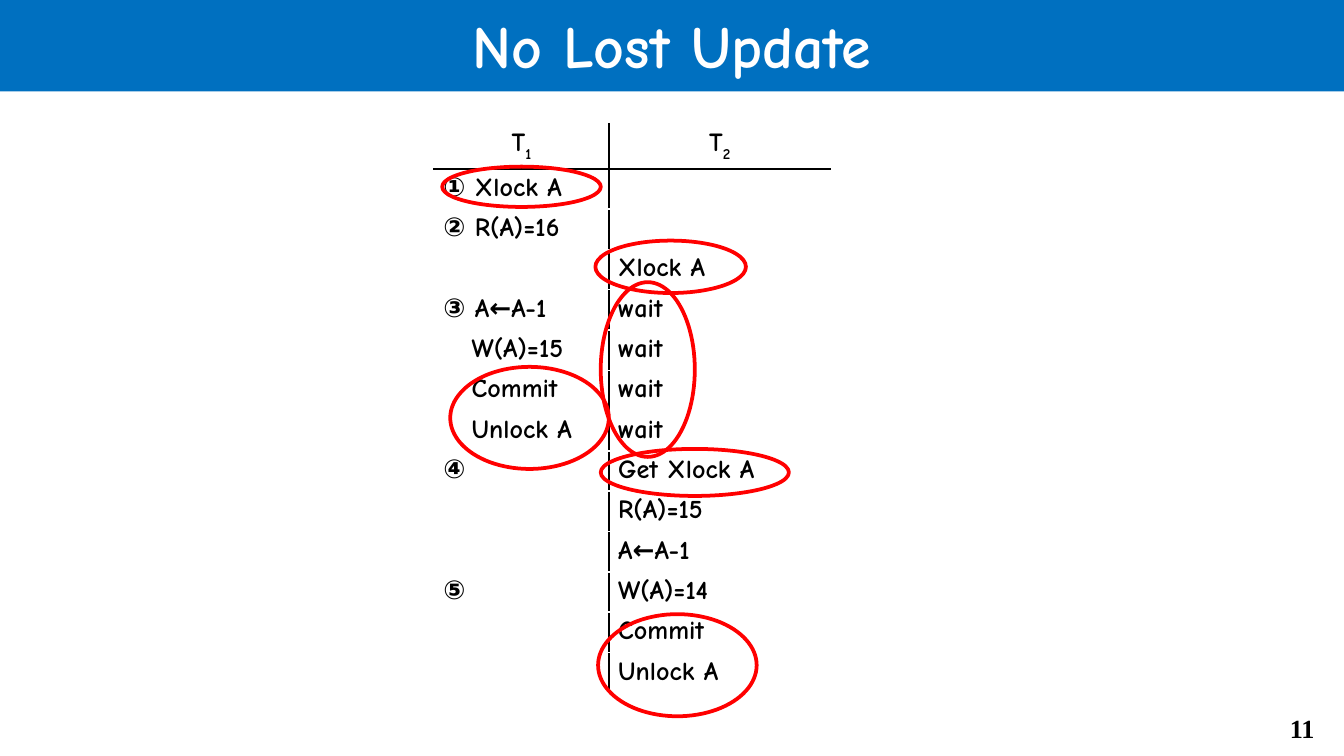
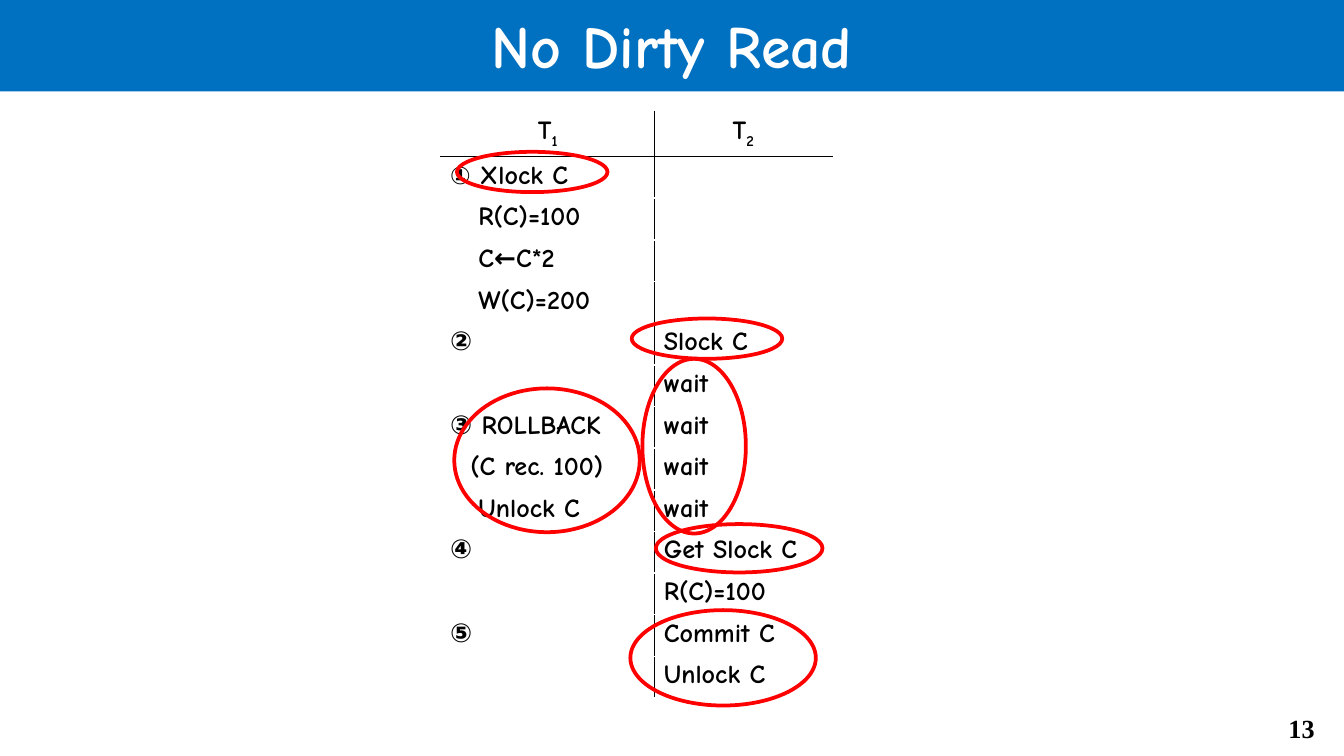
"""Build two slides showing how locking prevents lost updates and dirty reads."""
from lxml import etree
from pptx import Presentation
from pptx.dml.color import RGBColor
from pptx.enum.shapes import MSO_SHAPE
from pptx.enum.text import MSO_ANCHOR, PP_ALIGN
from pptx.oxml.ns import qn
from pptx.util import Inches, Pt

RECTANGLE, ELLIPSE = MSO_SHAPE.RECTANGLE, MSO_SHAPE.OVAL
CENTER, LEFT, RIGHT = PP_ALIGN.CENTER, PP_ALIGN.LEFT, PP_ALIGN.RIGHT
MIDDLE = MSO_ANCHOR.MIDDLE
BLUE, RED, BLACK, WHITE = "0070C0", "FF0000", "000000", "FFFFFF"
HAND, SERIF = "Comic Neue", "Times New Roman"
STEP_MARKS = "①②③④⑤"
HEADER = [[("T", 14, 0), (number, 14, -30000)] for number in "12"]

SCHEDULES = [
    {
        "title": "No Lost Update", "page": "11",
        "corner": (3.23, 0.92), "columns": (1.3, 1.65), "row_height": 0.3,
        "steps": [
            ("① Xlock A", ""), ("② R(A)=16", ""), ("", "Xlock A"),
            ("③ A←A-1", "wait"), ("W(A)=15", "wait"), ("Commit", "wait"),
            ("Unlock A", "wait"), ("④", "Get Xlock A"), ("", "R(A)=15"),
            ("", "A←A-1"), ("⑤", "W(A)=14"), ("", "Commit"), ("", "Unlock A"),
        ],
        "highlights": [
            (3.29, 1.24, 1.18, 0.3), (4.43, 1.79, 1.12, 0.39), (4.47, 2.1, 0.7, 1.3),
            (3.35, 2.73, 1.18, 0.76), (4.47, 3.34, 1.4, 0.35), (4.45, 4.57, 1.18, 0.76),
        ],
    },
    {
        "title": "No Dirty Read", "page": "13",
        "corner": (3.28, 0.83), "columns": (1.59, 1.32), "row_height": 0.31,
        "steps": [
            ([("①", 13, 0), (" Xlock C", 14, 0)], ""), ("R(C)=100", ""), ("C←C*2", ""),
            ("W(C)=200", ""), ("②", "Slock C"), ("", "wait"), ("③ ROLLBACK", "wait"),
            ("(C rec. 100)", "wait"), ("Unlock C", "wait"), ("④", "Get Slock C"),
            ("", "R(C)=100"), ("⑤", "Commit C"), ("", "Unlock C"),
        ],
        "highlights": [
            (3.4, 1.13, 1.12, 0.3), (4.7, 2.37, 1.12, 0.3), (4.78, 2.67, 0.77, 1.3),
            (3.38, 2.89, 1.38, 1.07), (4.88, 3.9, 1.24, 0.36), (4.69, 4.54, 1.38, 0.71),
        ],
    },
]


def rgb(value):
    return RGBColor.from_string(value)


def add_run(paragraph, text, size, font=HAND, color=BLACK, baseline=0):
    run = paragraph.add_run()
    run.text = text
    run.font.size, run.font.name, run.font.bold = Pt(size), font, True
    run.font.color.rgb = rgb(color)
    if baseline:
        run.font._element.set("baseline", str(baseline))


prs = Presentation()
prs.slide_width = Inches(10)
prs.slide_height = prs.slide_width * 9 // 16

for schedule in SCHEDULES:
    slide = prs.slides.add_slide(prs.slide_layouts[6])

    page = slide.shapes.add_textbox(Inches(9.25), Inches(5.25), Inches(0.63), Inches(0.34))
    page.text_frame.word_wrap = True
    page_line = page.text_frame.paragraphs[0]
    page_line.alignment = RIGHT
    add_run(page_line, schedule["page"], 14, SERIF)

    band = slide.shapes.add_shape(RECTANGLE, 0, Inches(-0.02), Inches(10), Inches(0.7))
    band.shadow.inherit = False
    band.fill.solid()
    band.fill.fore_color.rgb = rgb(BLUE)
    band.line.fill.background()
    band.text_frame.vertical_anchor = MIDDLE
    title = band.text_frame.paragraphs[0]
    title.alignment = CENTER
    add_run(title, schedule["title"], 32, color=WHITE)

    rows = [HEADER] + schedule["steps"]
    left, top = schedule["corner"]
    columns, row_height = schedule["columns"], schedule["row_height"]
    timeline = slide.shapes.add_table(
        len(rows), 2, Inches(left), Inches(top),
        Inches(sum(columns)), Inches(row_height * len(rows))).table
    timeline.first_row = timeline.horz_banding = False
    for column, width in zip(timeline.columns, columns):
        column.width = Inches(width)

    for r, row in enumerate(rows):
        timeline.rows[r].height = Inches(row_height)
        for c, entry in enumerate(row):
            cell = timeline.cell(r, c)
            cell.margin_left = cell.margin_right = Inches(0.07)
            cell.margin_top = cell.margin_bottom = Inches(0.03)
            cell.fill.background()

            action = cell.text_frame.paragraphs[0]
            action.alignment = LEFT if r else CENTER
            runs = entry if isinstance(entry, list) else [(entry, 14, 0)]
            start = runs[0][0][:1]
            margin, indent = 0.38, -0.38
            if r and c == 0 and start and start not in STEP_MARKS:
                margin, indent = (0.15 if start == "(" else 0.21), 0
            properties = action._p.get_or_add_pPr()
            properties.set("marL", str(Inches(margin)))
            properties.set("indent", str(Inches(indent)))
            if start:
                for text, size, baseline in runs:
                    add_run(action, text, size, baseline=baseline)
            else:
                ending = etree.SubElement(action._p, qn("a:endParaRPr"), sz="1400", b="1")
                etree.SubElement(ending, qn("a:latin"), typeface=HAND)

            borders = {
                "L": BLACK if c == 1 else WHITE,
                "R": BLACK if c == 0 else WHITE,
                "T": BLACK if r == 1 else WHITE,
                "B": BLACK if r == 0 else WHITE,
            }
            cell_properties = cell._tc.get_or_add_tcPr()
            for position, (side, color) in enumerate(borders.items()):
                border = etree.Element(qn(f"a:ln{side}"), w=str(Pt(1)))
                fill = etree.SubElement(border, qn("a:solidFill"))
                etree.SubElement(fill, qn("a:srgbClr"), val=color)
                cell_properties.insert(position, border)

    for box in schedule["highlights"]:
        highlight = slide.shapes.add_shape(ELLIPSE, *map(Inches, box))
        highlight.shadow.inherit = False
        highlight.fill.background()
        highlight.line.color.rgb = rgb(RED)
        highlight.line.width = Pt(2)

prs.save("out.pptx")
